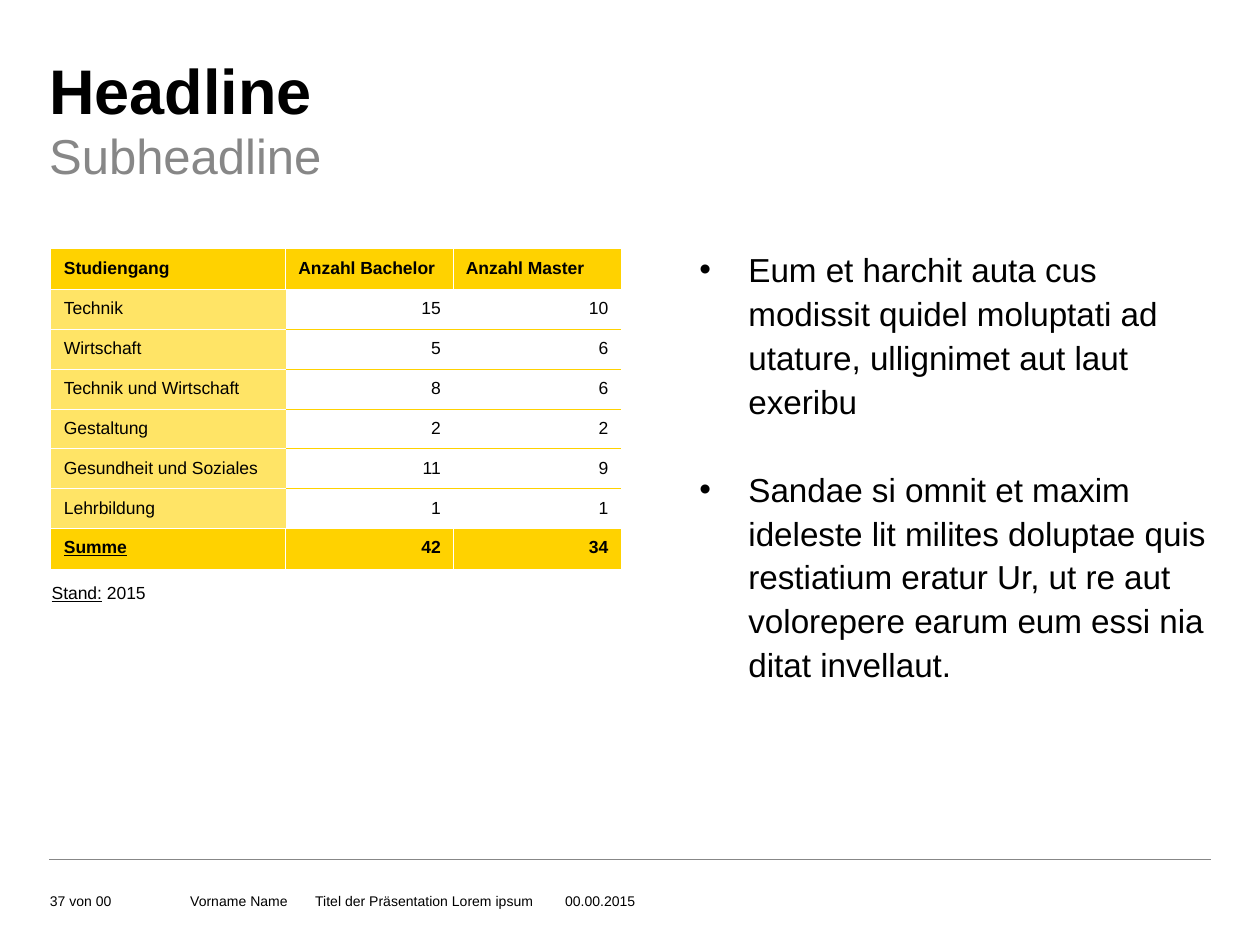
from lxml import etree
from pptx import Presentation
from pptx.dml.color import RGBColor
from pptx.enum.shapes import MSO_CONNECTOR
from pptx.enum.text import MSO_ANCHOR, PP_ALIGN
from pptx.oxml.ns import qn
from pptx.util import Pt

BLACK = RGBColor(0x00, 0x00, 0x00)
WHITE = RGBColor(0xFF, 0xFF, 0xFF)
GRAY = RGBColor(0x87, 0x87, 0x87)
YELLOW = RGBColor(0xFF, 0xD2, 0x00)
PALE_YELLOW = RGBColor(0xFF, 0xE4, 0x66)

LEFT, RIGHT = 28.1, 691.9
COLUMN_WIDTHS = [134, 95.75, 95.75]
ROW_HEIGHT = 22.57

DEGREES = [
    ["Studiengang", "Anzahl Bachelor", "Anzahl Master"],
    ["Technik", "15", "10"],
    ["Wirtschaft", "5", "6"],
    ["Technik und Wirtschaft", "8", "6"],
    ["Gestaltung", "2", "2"],
    ["Gesundheit und Soziales", "11", "9"],
    ["Lehrbildung", "1", "1"],
    ["Summe", "42", "34"],
]
BULLETS = [
    "Eum et harchit auta cus modissit quidel moluptati ad utature, "
    "ullignimet aut laut exeribu",
    "Sandae si omnit et maxim ideleste lit milites doluptae quis restiatium "
    "eratur Ur, ut re aut volorepere earum eum essi nia ditat invellaut.",
]


class SlideWriter:
    font_name = "Arial"
    line_width = 0.5

    def __init__(self, slide):
        self.slide = slide

    def style(self, para, size, color=BLACK, bold=False):
        para.font.name = self.font_name
        para.font.size = Pt(size)
        para.font.color.rgb = color
        para.font.bold = bold

    def text(self, left, top, width, height, lines, size, color=BLACK,
             bold=False, anchor=MSO_ANCHOR.TOP, spacing=1.0):
        box = self.slide.shapes.add_textbox(Pt(left), Pt(top), Pt(width), Pt(height))
        frame = box.text_frame
        frame.word_wrap = True
        frame.vertical_anchor = anchor
        frame.margin_left = frame.margin_right = 0
        frame.margin_top = frame.margin_bottom = 0
        for index, line in enumerate(lines):
            para = frame.paragraphs[0] if index == 0 else frame.add_paragraph()
            para.text = line
            para.line_spacing = spacing
            self.style(para, size, color, bold)
        return frame.paragraphs

    def bullets(self, left, top, width, height, lines, size, indent, gap):
        paragraphs = self.text(left, top, width, height, lines, size, spacing=1.1)
        for index, para in enumerate(paragraphs):
            if index:
                para.space_before = Pt(gap)
            properties = para._p.get_or_add_pPr()
            properties.set("marL", str(Pt(indent)))
            properties.set("indent", str(-Pt(indent)))
            etree.SubElement(properties, qn("a:buFont"), typeface=self.font_name)
            bullet = etree.SubElement(properties, qn("a:buChar"), char="•")
            # Bullet settings come before the default run properties
            default_run = properties.find(qn("a:defRPr"))
            if default_run is not None:
                default_run.addprevious(bullet.getprevious())
                default_run.addprevious(bullet)

    def tab_stops(self, para, positions):
        properties = para._p.get_or_add_pPr()
        stops = etree.Element(qn("a:tabLst"))
        for position in positions:
            etree.SubElement(stops, qn("a:tab"), pos=str(Pt(position)), algn="l")
        default_run = properties.find(qn("a:defRPr"))
        if default_run is None:
            properties.append(stops)
        else:
            default_run.addprevious(stops)

    def rule(self, left, right, top, color):
        line = self.slide.shapes.add_connector(
            MSO_CONNECTOR.STRAIGHT, Pt(left), Pt(top), Pt(right), Pt(top))
        line.line.color.rgb = color
        line.line.width = Pt(self.line_width)
        etree.SubElement(line._element.spPr, qn("a:effectLst"))

    def border(self, cell, side, color):
        line = etree.SubElement(cell._tc.get_or_add_tcPr(), qn(f"a:ln{side}"),
                                w=str(Pt(self.line_width)))
        if color is None:
            etree.SubElement(line, qn("a:noFill"))
        else:
            fill = etree.SubElement(line, qn("a:solidFill"))
            etree.SubElement(fill, qn("a:srgbClr"), val=str(color))

    def table(self, left, top, widths, row_height, rows, size):
        last_row, last_column = len(rows) - 1, len(widths) - 1
        table = self.slide.shapes.add_table(
            len(rows), len(widths), Pt(left), Pt(top),
            Pt(sum(widths)), Pt(row_height * len(rows))).table
        table.horz_banding = False
        for column, width in zip(table.columns, widths):
            column.width = Pt(width)

        def edge_color(edge, column):
            inner = 0 < edge <= last_row
            beside_band = edge in (1, last_row)
            return WHITE if inner and (column == 0 or beside_band) else YELLOW

        for r, values in enumerate(rows):
            table.rows[r].height = Pt(row_height)
            strong = r in (0, last_row)
            for c, value in enumerate(values):
                cell = table.cell(r, c)
                cell.margin_left = cell.margin_right = Pt(7.2)
                cell.margin_top = cell.margin_bottom = Pt(5.4)
                para = cell.text_frame.paragraphs[0]
                para.text = value
                para.alignment = PP_ALIGN.RIGHT if r and c else PP_ALIGN.LEFT
                self.style(para, size, bold=strong)
                para.font.underline = r == last_row and c == 0
                # Borders go in before the fill
                self.border(cell, "L", WHITE if strong and c else None)
                self.border(cell, "R", WHITE if strong and c < last_column else None)
                self.border(cell, "T", edge_color(r, c))
                self.border(cell, "B", edge_color(r + 1, c))
                if strong or c == 0:
                    cell.fill.solid()
                    cell.fill.fore_color.rgb = YELLOW if strong else PALE_YELLOW
                else:
                    cell.fill.background()


def main():
    deck = Presentation()
    deck.slide_width, deck.slide_height = Pt(720), Pt(540)
    page = SlideWriter(deck.slides.add_slide(deck.slide_layouts[6]))

    # Headings
    page.text(LEFT, 29.5, 502, 44.6, ["Headline"], 36, bold=True)
    page.text(LEFT, 68.4, 502, 39.6, ["Subheadline"], 28, GRAY, spacing=1.1)

    # Table with its date
    page.table(29.3, 142.4, COLUMN_WIDTHS, ROW_HEIGHT, DEGREES, 10)
    note = page.text(29.5, 332.6, 324.7, 28.1, ["Stand:"], 10)[0]
    note.runs[0].font.underline = True
    span = note.add_run()
    span.text = " 2015"

    # Bullet list
    page.bullets(399.6, 140.4, 292.3, 316.8, BULLETS, 19, indent=28.1, gap=25.1)

    # Footer
    page.rule(LEFT, RIGHT, 491, GRAY)
    page.text(28.5, 496.8, 76.3, 23, ["37 von 00"], 8, anchor=MSO_ANCHOR.BOTTOM)
    footer = page.text(
        108.7, 496.8, 535, 23,
        ["Vorname Name\tTitel der Präsentation Lorem ipsum\t00.00.2015"],
        8, anchor=MSO_ANCHOR.BOTTOM)[0]
    page.tab_stops(footer, [71.4, 214.2])

    deck.save("out.pptx")


if __name__ == "__main__":
    main()
